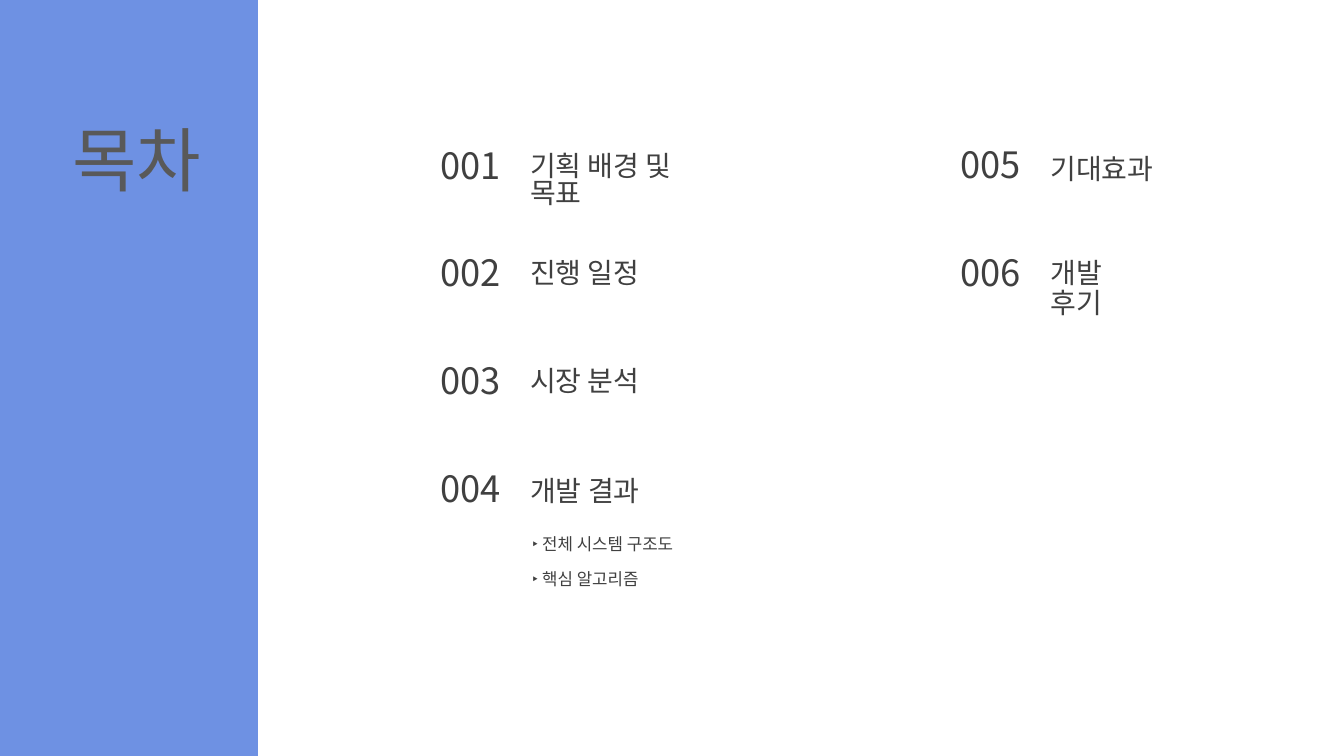
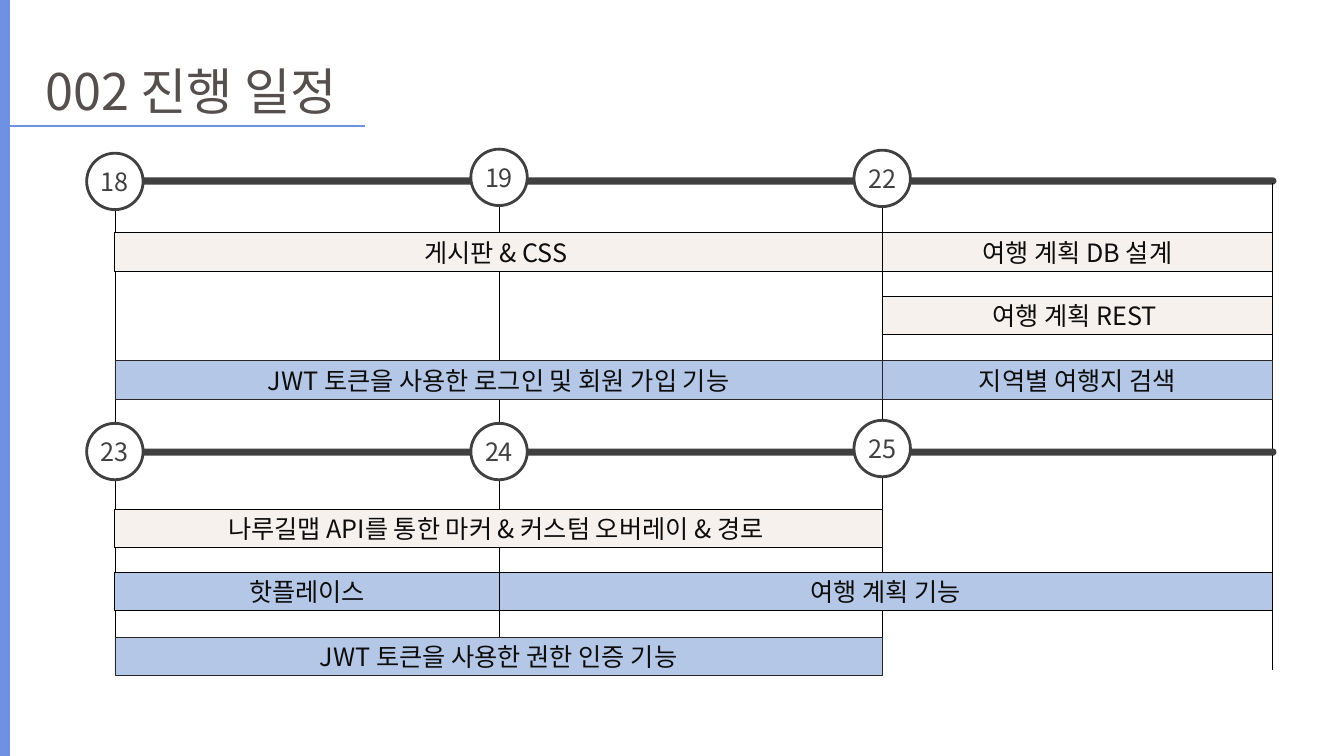
from lxml import etree
from pptx import Presentation
from pptx.dml.color import RGBColor
from pptx.enum.shapes import MSO_CONNECTOR, MSO_SHAPE
from pptx.enum.text import MSO_ANCHOR, PP_ALIGN
from pptx.oxml.ns import qn
from pptx.util import Emu, Pt

RECT, ROUND, OVAL = MSO_SHAPE.RECTANGLE, MSO_SHAPE.ROUNDED_RECTANGLE, MSO_SHAPE.OVAL
LINE = MSO_CONNECTOR.STRAIGHT
TOP, MIDDLE = MSO_ANCHOR.TOP, MSO_ANCHOR.MIDDLE
LEFT, CENTER = PP_ALIGN.LEFT, PP_ALIGN.CENTER

WIDE, HIGH = 1333, 750
FONT = "Noto Sans CJK KR"
BLUE, WHITE, BLACK = "6E91E3", "FFFFFF", "000000"
DARK, GRAY, BROWN, INK = "404040", "595959", "554F4D", "0D0D0D"
CREAM = ("F7F1EE", BLACK, 0.75)
PALE = ("B4C7E7", "262626", 0.5)
PLAN = ("B4C7E7", BLACK, 0.75)


def px(count):
    """Turn px, a hundred to the inch, into EMU."""
    return Emu(count * 9144)


def color(code):
    """Turn a hex string into a colour."""
    return RGBColor.from_string(code)


def write(shape, text, size, tint=DARK, align=LEFT, anchor=TOP, gap=None, wrap=True):
    """Put formatted text into a shape."""
    frame = shape.text_frame
    frame.word_wrap, frame.vertical_anchor = wrap, anchor
    para = frame.paragraphs[0]
    para.alignment, para.line_spacing = align, gap
    run = para.add_run()
    run.text = text
    font = run.font
    font.name, font.size = FONT, Pt(size)
    font.color.rgb = color(tint)
    font._element.set("kern", "0")
    etree.SubElement(font._element, qn("a:ea"), typeface=FONT)


class Deck:
    """Hold the style and the current slide."""

    def __init__(self):
        """Open an empty deck."""
        self.show = Presentation()
        self.show.slide_width, self.show.slide_height = px(WIDE), px(HIGH)
        self.slide = None

    def page(self, band):
        """Start a slide with a blue band at the left."""
        self.slide = self.show.slides.add_slide(self.show.slide_layouts[6])
        self.shape(RECT, 0, 0, band, HIGH, BLUE, BLUE, 1)

    def shape(self, kind, x, y, w, h, fill, edge=None, thick=0):
        """Draw a filled preset shape."""
        item = self.slide.shapes.add_shape(kind, px(x), px(y), px(w), px(h))
        item.shadow.inherit = False
        item.fill.solid()
        item.fill.fore_color.rgb = color(fill)
        if edge:
            item.line.color.rgb = color(edge)
            item.line.width = Pt(thick)
        else:
            item.line.fill.background()
        return item

    def label(self, x, y, w, h, text, size, **form):
        """Place a text box."""
        box = self.slide.shapes.add_textbox(px(x), px(y), px(w), px(h))
        write(box, text, size, **form)

    def title(self, x, y, w, h, text, size, tint):
        """Place the slide title."""
        self.label(x, y, w, h, text, size, tint=tint, anchor=MIDDLE)

    def rule(self, x, y, right, low, tint=BLACK, thick=0.5):
        """Draw a straight line."""
        item = self.slide.shapes.add_connector(LINE, px(x), px(y), px(right), px(low))
        item.line.color.rgb = color(tint)
        item.line.width = Pt(thick)
        etree.SubElement(item._element.spPr, qn("a:effectLst"))

    def entry(self, x, y, code, text, width, gap, drop=0):
        """Place a numbered line of the contents."""
        self.label(x, y, 92, 43, code, 25.9, gap=0.7)
        self.label(x + 89, y + drop, width, 38, text, 20, gap=gap)

    def axis(self, x, y, right):
        """Draw a thick time axis."""
        bar = self.shape(ROUND, x, y, right - x, 5, DARK, DARK, 1.5)
        bar.adjustments[0] = 0.5

    def day(self, mid, y, text):
        """Draw a round date mark."""
        mark = self.shape(OVAL, mid - 28, y, 56, 56, WHITE, DARK, 2)
        write(mark, text, 18, align=CENTER, anchor=MIDDLE, wrap=False)

    def task(self, x, y, right, text, style):
        """Draw a task bar."""
        bar = self.shape(RECT, x, y, right - x, 38, *style)
        write(bar, text, 18, tint=INK, align=CENTER, anchor=MIDDLE)


def index(deck):
    """Build the contents slide."""
    deck.page(256)
    deck.shape(RECT, 256, 0, WIDE - 256, HIGH, WHITE)
    deck.title(62, 110, 155, 94, "목차", 50, GRAY)
    left = [("기획 배경 및 목표", 200, 0.8), ("진행 일정", 223, 0.8),
            ("시장 분석", 223, 0.8), ("개발 결과", 409, 0.9)]
    for i, (text, width, gap) in enumerate(left):
        deck.entry(427, 149 + i * 320 // 3, f"00{i + 1}", text, width, gap)
    deck.entry(943, 148, "005", "기대효과", 130, 0.9, drop=1)
    deck.entry(943, 255, "006", "개발 후기", 120, 0.9, drop=-3)
    for i, text in enumerate(["‣ 전체 시스템 구조도", "‣ 핵심 알고리즘"]):
        deck.label(518, 527 + 35 * i, 258, 26, text, 12, gap=0.9)


def plan(deck):
    """Build the schedule slide."""
    deck.page(9)
    deck.title(35, 54, 494, 71, "002 진행 일정", 36, BROWN)
    deck.rule(9, 125, 362, 125, BLUE, 1.5)
    cols = [114, 495, 875, 1262]
    rows = [
        (119, 177, 450, 231, [("18", 152), ("19", 148), ("22", 149)], [
            (0, 0, 2, "게시판 & CSS ", CREAM),
            (0, 2, 3, "여행 계획 DB 설계", CREAM),
            (1, 2, 3, "여행 계획 REST ", CREAM),
            (2, 0, 2, "JWT 토큰을 사용한 로그인 및 회원 가입 기능", PALE),
            (2, 2, 3, "지역별 여행지 검색", PALE)]),
        (114, 446, 665, 505, [("23", 420), ("24", 420), ("25", 417)], [
            (0, 0, 2, "나루길맵 API를 통한 마커 & 커스텀 오버레이 & 경로 ", CREAM),
            (1, 0, 1, "핫플레이스", PLAN),
            (1, 1, 3, "여행 계획 기능", PLAN),
            (2, 0, 2, "JWT 토큰을 사용한 권한 인증 기능", PALE)]),
    ]
    for start, y, low, _, _, _ in rows:
        deck.axis(start, y, 1265)
        for x in cols:
            deck.rule(x, y + 5, x, low)
    for _, _, _, top, days, tasks in rows:
        for x, (text, y) in zip(cols, days):
            deck.day(x, y, text)
        for step, first, last, text, style in tasks:
            deck.task(cols[first], top + step * 127 // 2, cols[last], text, style)


def main():
    """Build and save the deck."""
    deck = Deck()
    index(deck)
    plan(deck)
    deck.show.save("out.pptx")


if __name__ == "__main__":
    main()
